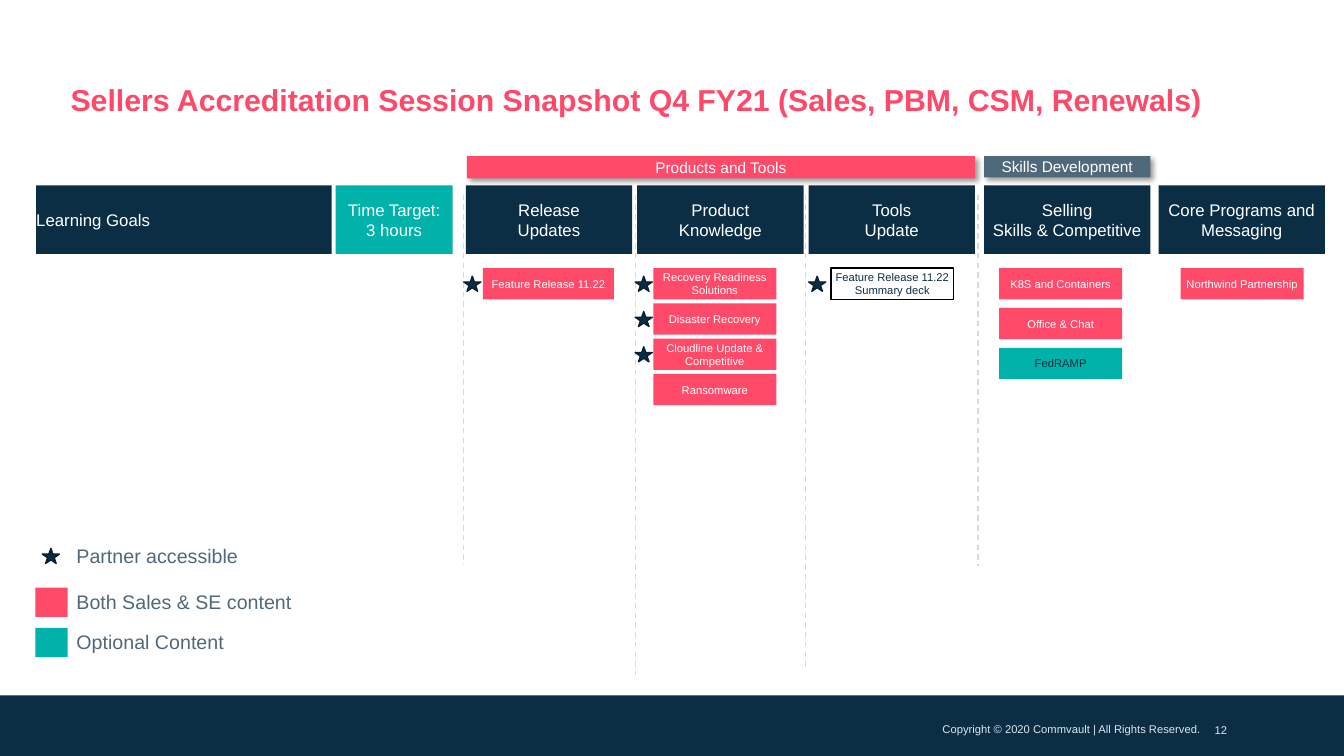
from dataclasses import dataclass
from typing import Optional

from lxml.etree import SubElement
from pptx import Presentation
from pptx.dml.color import RGBColor
from pptx.enum.dml import MSO_LINE_DASH_STYLE as Dash
from pptx.enum.shapes import MSO_CONNECTOR as Conn, MSO_SHAPE as Geo
from pptx.enum.text import MSO_ANCHOR as Anchor, MSO_AUTO_SIZE as Fit, PP_ALIGN as Align
from pptx.oxml.ns import qn
from pptx.shapes.autoshape import Shape
from pptx.slide import Slide
from pptx.text.text import TextFrame
from pptx.util import Emu, Inches, Pt

# The slide is a grid of 133.3 columns by 75 rows of square cells.
GRID_COLS, GRID_ROWS = 133.3, 75
CELL = Inches(0.1)


@dataclass(frozen=True)
class Theme:
    font: str = "Arial"
    navy: str = "0B2E44"
    star: str = "0B2D43"
    star_edge: str = "082132"
    pink: str = "FF4A6A"
    title: str = "FE496A"
    teal: str = "00B2A9"
    slate: str = "4F697B"
    white: str = "FFFFFF"
    black: str = "000000"
    rule: str = "D9D9D9"
    footer: str = "DDE5ED"
    title_size: float = 21.6
    legend_size: float = 14
    head_size: float = 12
    band_size: float = 11
    small_size: float = 8


T = Theme()


@dataclass(frozen=True)
class Box:
    """A place on the grid, in columns and rows."""
    col: float
    row: float
    cols: float
    rows: float

    def emu(self) -> tuple[Emu, ...]:
        return tuple(Emu(round(n * CELL)) for n in (self.col, self.row, self.cols, self.rows))


@dataclass(frozen=True)
class Card:
    text: str
    starred: bool = False
    fill: str = T.pink
    color: str = T.white
    edge: Optional[str] = None


@dataclass(frozen=True)
class Column:
    head: str
    col: float
    card_col: float
    cards: tuple[Card, ...]
    pitch: float = 3.5
    card_cols: float = 12.2
    star_col: float = 0
    rule: Optional[tuple[float, float]] = None  # column and last row


@dataclass(frozen=True)
class Label:
    text: str
    box: Box
    fill: str
    align: Align = Align.CENTER


@dataclass(frozen=True)
class Key:
    text: str
    row: float
    fill: Optional[str] = None  # a star is drawn when there is no fill


HEAD_ROW, HEAD_COLS, HEAD_ROWS = 18.4, 16.5, 6.8
CARD_ROW, CARD_ROWS, STAR_DROP = 26.6, 3.1, 0.8

COLUMNS = (
    Column("Release\nUpdates", 46.2, 47.9, (Card("Feature Release 11.22", True),),
           card_cols=13, star_col=46, rule=(46, 56)),
    Column("Product\nKnowledge", 63.2, 64.8,
           (Card("Recovery Readiness Solutions", True), Card("Disaster Recovery", True),
            Card("Cloudline Update & Competitive", True), Card("Ransomware")),
           star_col=63, rule=(63, 67)),
    Column("Tools\nUpdate", 80.2, 82.4,
           (Card("Feature Release 11.22 Summary deck", True, T.white, T.navy, T.black),),
           star_col=80.2, rule=(79.9, 66.5)),
    Column("Selling\nSkills & Competitive", 97.6, 99.1,
           (Card("K8S and Containers"), Card("Office & Chat"),
            Card("FedRAMP", fill=T.teal, color=T.navy)),
           pitch=3.95, rule=(97, 56.2)),
    Column("Core Programs and Messaging", 114.9, 117.1, (Card("Northwind Partnership"),)),
)
GOALS = (
    Label("Learning Goals", Box(3.6, HEAD_ROW, 29.3, HEAD_ROWS), T.navy, Align.LEFT),
    Label("Time Target:\n3 hours", Box(33.3, HEAD_ROW, 11.6, HEAD_ROWS), T.teal),
)
BANDS = (
    Label("Products and Tools", Box(46.3, 15.5, 50.4, 2.2), T.pink),
    Label("Skills Development", Box(97.6, 15.5, 16.5, 2.1), T.slate),
)
LEGEND = (
    Key("Partner accessible", 53.5),
    Key("Both Sales & SE content", 58, T.pink),
    Key("Optional Content", 62, T.teal),
)


def rgb(color: str) -> RGBColor:
    return RGBColor.from_string(color)


def write(tf: TextFrame, text: str, size: float, color: str,
          align: Align = Align.CENTER, bold: bool = False) -> None:
    p = tf.paragraphs[0]
    p.alignment = align
    for i, line in enumerate(text.split("\n")):
        if i:
            p.add_line_break()
        r = p.add_run()
        r.text = line
        r.font.name, r.font.size, r.font.bold = T.font, Pt(size), bold
        r.font.color.rgb = rgb(color)


def no_margins(tf: TextFrame) -> None:
    tf.margin_left = tf.margin_right = tf.margin_top = tf.margin_bottom = 0


def add_block(s: Slide, box: Box, fill: str, edge: Optional[str] = None,
              geo: Geo = Geo.RECTANGLE) -> Shape:
    sp = s.shapes.add_shape(geo, *box.emu())
    sp.shadow.inherit = False
    sp.fill.solid()
    sp.fill.fore_color.rgb = rgb(fill)
    if edge:
        sp.line.color.rgb = rgb(edge)
        sp.line.width = Pt(1)
    else:
        sp.line.fill.background()
    return sp


def add_label(s: Slide, label: Label, size: float, color: str = T.white,
              edge: Optional[str] = None) -> Shape:
    sp = add_block(s, label.box, label.fill, edge)
    tf = sp.text_frame
    tf.word_wrap, tf.vertical_anchor = True, Anchor.MIDDLE
    no_margins(tf)
    write(tf, label.text, size, color, label.align)
    return sp


def add_star(s: Slide, col: float, row: float) -> None:
    add_block(s, Box(col, row, 1.7, 1.5), T.star, T.star_edge, Geo.STAR_5_POINT)


def add_text(s: Slide, box: Box, text: str, size: float, color: str, align: Align,
             anchor: Anchor = Anchor.TOP, margins: bool = False) -> None:
    tf = s.shapes.add_textbox(*box.emu()).text_frame
    tf.word_wrap, tf.vertical_anchor = not margins, anchor
    if not margins:
        no_margins(tf)
    write(tf, text, size, color, align)


def cast_shadow(sp: Shape) -> None:
    effects = sp._element.spPr.find(qn("a:effectLst"))
    shadow = SubElement(effects, qn("a:outerShdw"), blurRad=str(Pt(4)), dist=str(Pt(3)),
                        dir=str(45 * 60000), algn="tl", rotWithShape="0")
    tone = SubElement(shadow, qn("a:srgbClr"), val=T.black)
    SubElement(tone, qn("a:alpha"), val="40000")


def add_rule(s: Slide, col: float, last_row: float) -> None:
    x, y, _, height = Box(col, 19.3, 0, last_row - 19.3).emu()
    line = s.shapes.add_connector(Conn.STRAIGHT, x, y, x, y + height)
    line.line.color.rgb = rgb(T.rule)
    line.line.width = Pt(1)
    line.line.dash_style = Dash.DASH
    SubElement(line._element.spPr, qn("a:effectLst"))


def add_column(s: Slide, column: Column) -> None:
    if column.rule:
        add_rule(s, *column.rule)
    add_label(s, Label(column.head, Box(column.col, HEAD_ROW, HEAD_COLS, HEAD_ROWS), T.navy),
              T.head_size)
    for i, card in enumerate(column.cards):
        row = CARD_ROW + i * column.pitch
        box = Box(column.card_col, row, column.card_cols, CARD_ROWS)
        add_label(s, Label(card.text, box, card.fill), T.small_size, card.color, card.edge)
        if card.starred:
            add_star(s, column.star_col, row + STAR_DROP)


def add_key(s: Slide, key: Key) -> None:
    if key.fill:
        add_block(s, Box(3.5, key.row + 0.3, 3.2, 2.9), key.fill)
    else:
        add_star(s, 4.2, key.row + 0.9)
    add_text(s, Box(6.6, key.row, 23.5, 3.4), key.text, T.legend_size, T.slate,
             Align.LEFT, margins=True)


def add_title(s: Slide, text: str) -> None:
    title = s.shapes.title
    title.left, title.top, title.width, title.height = Box(6, 6.4, 116.9, 5.8).emu()
    tf = title.text_frame
    tf.auto_size, tf.word_wrap, tf.vertical_anchor = Fit.NONE, True, Anchor.BOTTOM
    write(tf, text, T.title_size, T.title, Align.LEFT, bold=True)


def main() -> None:
    prs = Presentation()
    prs.slide_width, prs.slide_height = Emu(round(GRID_COLS * CELL)), Emu(GRID_ROWS * CELL)
    s = prs.slides.add_slide(prs.slide_layouts[5])
    add_block(s, Box(0, 69, GRID_COLS, 6), T.navy)
    add_text(s, Box(88, 71.7, 31.1, 1.3), "Copyright © 2020 Commvault | All Rights Reserved.",
             T.small_size, T.footer, Align.RIGHT)
    add_text(s, Box(91.7, 69.1, 30, 4), "12", T.small_size, T.footer, Align.RIGHT, Anchor.BOTTOM)
    add_title(s, "Sellers Accreditation Session Snapshot Q4 FY21 (Sales, PBM, CSM, Renewals)")
    for goal in GOALS:
        add_label(s, goal, T.head_size)
    for band in BANDS:
        cast_shadow(add_label(s, band, T.band_size))
    for column in COLUMNS:
        add_column(s, column)
    for key in LEGEND:
        add_key(s, key)
    prs.save("out.pptx")


if __name__ == "__main__":
    main()
